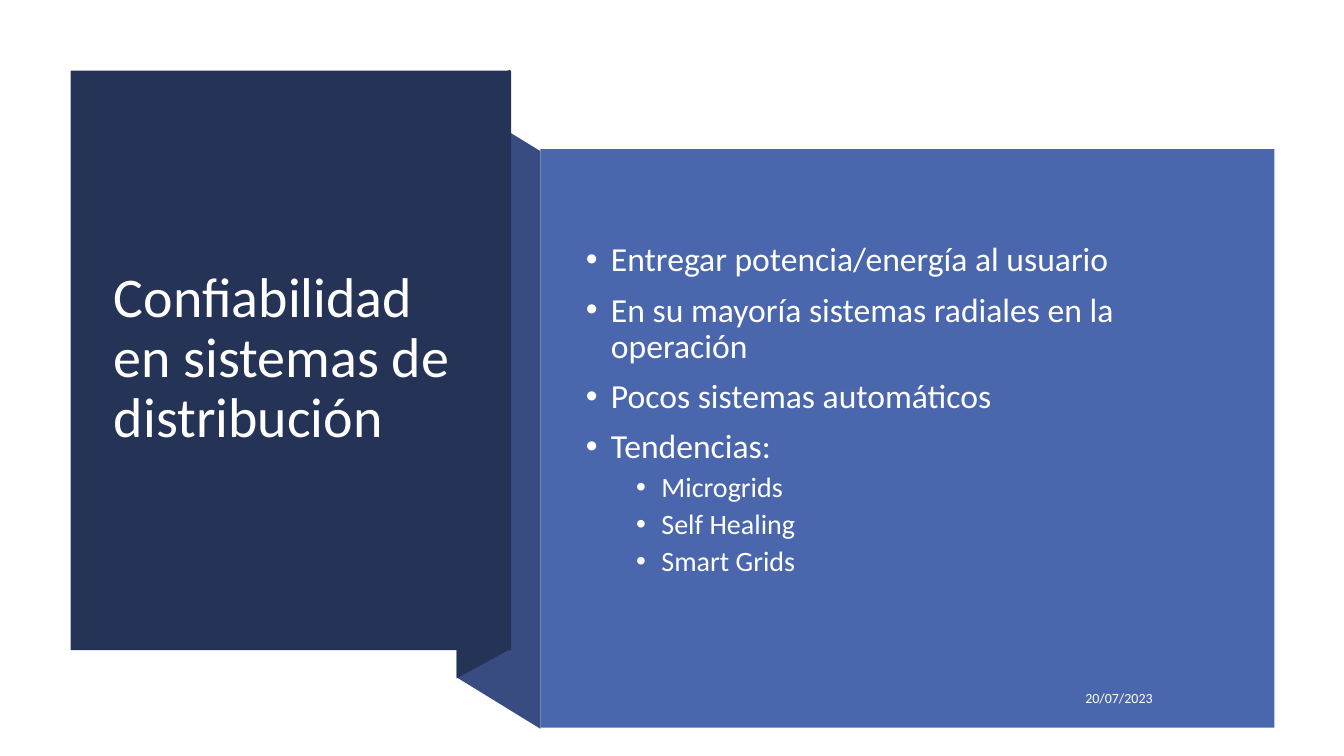
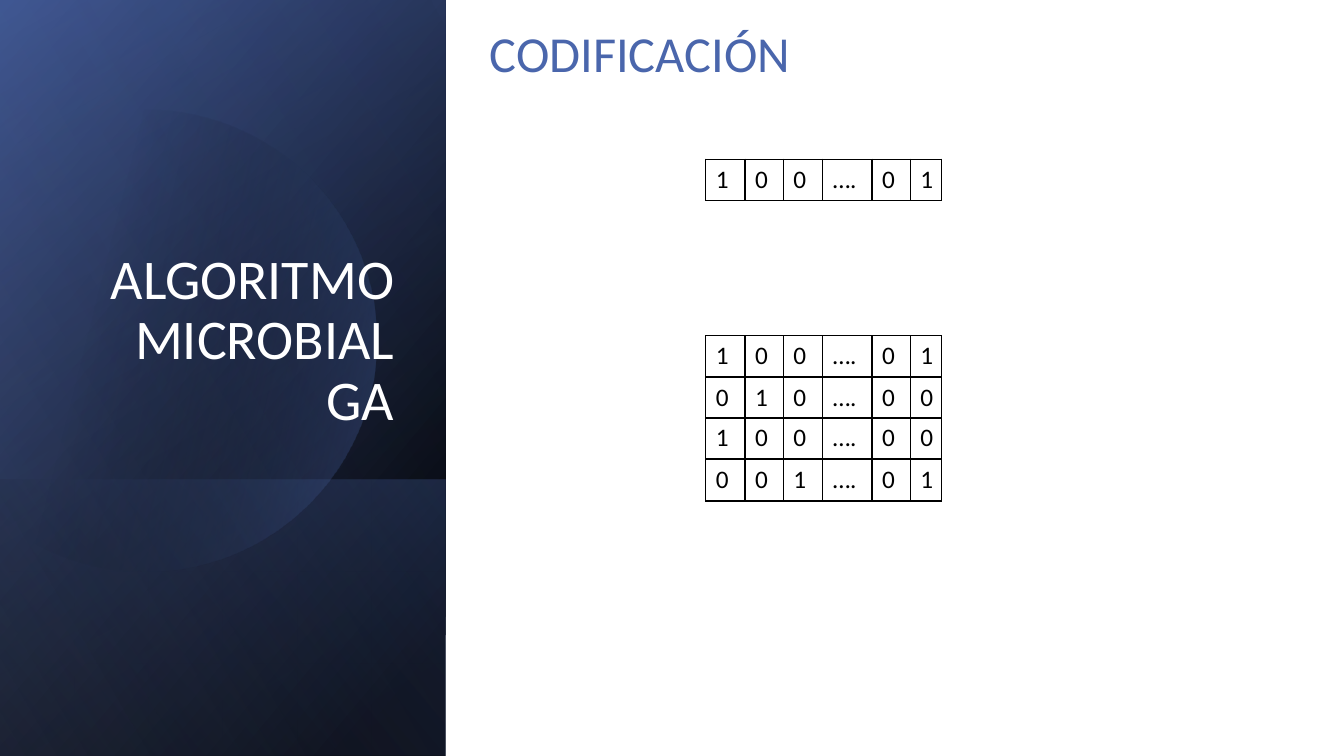
from math import acos, cos, degrees, pi, radians, sin, tan

from lxml.etree import SubElement
from pptx import Presentation
from pptx.dml.color import RGBColor
from pptx.enum.shapes import MSO_SHAPE
from pptx.enum.text import MSO_ANCHOR, MSO_AUTO_SIZE, PP_ALIGN
from pptx.oxml.ns import qn
from pptx.util import Inches, Pt

# Shared style
WIDTH, HEIGHT = 13.33, 7.5
FONT = "Calibri"
COLORS = {
    "white": "FFFFFF",
    "black": "000000",
    "blue": "4A66AC",
    "fold": "384C81",
    "navy": "253356",
    "mist": "90A2CF",
}
TITLE = {"size": 40, "color": "white", "line_spacing": 0.9}
LEVELS = [
    {"size": 24, "before": 10, "indent": 0.25},
    {"size": 20, "before": 5, "indent": 0.75},
]

# Content of slide 1
RELIABILITY_TITLE = "Confiabilidad en sistemas de distribución"
RELIABILITY_POINTS = [
    (0, "Entregar potencia/energía al usuario"),
    (0, "En su mayoría sistemas radiales en la operación"),
    (0, "Pocos sistemas automáticos"),
    (0, "Tendencias:"),
    (1, "Microgrids"),
    (1, "Self Healing"),
    (1, "Smart Grids"),
]
DATE = "20/07/2023"
TITLE_PANEL = (0.7, 0.7, 4.37, 5.75)
BODY_PANEL = (5.36, 1.48, 7.28, 5.74)
FOLDS = [
    ("fold", [(5.36, 7.23), (4.53, 6.72), (4.53, 0.99), (5.36, 1.5)]),
    ("navy", [(5.06, 6.44), (4.53, 6.73), (4.53, 0.98), (5.06, 0.69)]),
]

# Content of slide 2: each individual is a one-row table
ALGORITHM_TITLE = "ALGORITMO MICROBIAL GA"
CODING_HEADING = "CODIFICACIÓN"
INDIVIDUALS = [
    (1.58, "100…01"),
    (3.33, "100…01"),
    (3.74, "010…00"),
    (4.14, "100…00"),
    (4.56, "001…01"),
]
GENE_WIDTHS = [0.39, 0.38, 0.39, 0.49, 0.38, 0.31]
GENE_HEIGHT = 0.41
TABLE_LEFT = 7

# Side band: top edge, clockwise angle, stops of (position, colour, opacity)
BAND_WIDTH = 4.42
BAND_LAYERS = [
    (0, 220, [(8, "black", 100), (100, "fold", 100)]),
    (0, 240, [(0, "black", 0), (99, "blue", 46)]),
    (4.76, 140, [(2, "blue", 29), (100, "black", 30)]),
]
DISC = {"center": (1.44, 3.38), "radius": 2.29, "angle": 14,
        "stops": [(29, "black", 0), (100, "blue", 43)]}
BAND_VEIL = (0, 150, [(0, "black", 0), (99, "mist", 11)])


def rgb(name):
    return RGBColor.from_string(COLORS[name])


def place(shape, left, top, width, height):
    shape.left, shape.top = Inches(left), Inches(top)
    shape.width, shape.height = Inches(width), Inches(height)


def write(frame, text, size, color, align=PP_ALIGN.LEFT, anchor=None,
          line_spacing=None, before=0, after=0, indent=None, append=False):
    """Write one formatted paragraph; an indent makes it a bullet."""
    frame.word_wrap = True
    frame.auto_size = MSO_AUTO_SIZE.NONE
    if anchor is not None:
        frame.vertical_anchor = anchor
    para = frame.add_paragraph() if append else frame.paragraphs[0]
    para.alignment = align
    para.space_before, para.space_after = Pt(before), Pt(after)
    if line_spacing:
        para.line_spacing = line_spacing
    if indent is not None:
        properties = para._p.get_or_add_pPr()
        properties.set("marL", str(Inches(indent)))
        properties.set("indent", str(-Inches(0.25)))
        SubElement(properties, qn("a:buFont")).set("typeface", "Arial")
        SubElement(properties, qn("a:buChar")).set("char", "•")
    span = para.add_run()
    span.text = text
    span.font.name, span.font.size = FONT, Pt(size)
    span.font.color.rgb = rgb(color)
    return para


def text_box(page, area, text, **style):
    box = page.shapes.add_textbox(*map(Inches, area))
    write(box.text_frame, text, **style)


def front_placeholder(page, index, area):
    """Place a placeholder above the shapes drawn so far."""
    holder = page.placeholders[index]
    page.shapes._spTree.append(holder._element)
    place(holder, *area)
    return holder.text_frame


def plain(shape, color=None):
    shape.shadow.inherit = False
    shape.line.fill.background()
    if color:
        shape.fill.solid()
        shape.fill.fore_color.rgb = rgb(color)
    return shape


def panel(page, area, color=None):
    shape = page.shapes.add_shape(MSO_SHAPE.RECTANGLE, *map(Inches, area))
    return plain(shape, color)


def outline(page, points, color=None):
    """Draw a closed outline; its grid has 1000 units to the inch."""
    grid = [(round(x * 1000), round(y * 1000)) for x, y in points]
    builder = page.shapes.build_freeform(*grid[0], scale=Inches(1) / 1000)
    builder.add_line_segments(grid[1:], close=True)
    return plain(builder.convert_to_shape(), color)


def shade(shape, angle, stops):
    """Fill with a two-stop gradient; the angle runs clockwise."""
    shape.fill.gradient()
    shape.fill.gradient_angle = 360 - angle
    for stop, (position, color, _) in zip(shape.fill.gradient_stops, stops):
        stop.position = position / 100
        stop.color.rgb = rgb(color)
    gradient = shape._element.spPr.find(qn("a:gradFill"))
    for node, (_, _, opacity) in zip(gradient.iter(qn("a:srgbClr")), stops):
        if opacity < 100:
            SubElement(node, qn("a:alpha")).set("val", str(opacity * 1000))


def band_layer(page, top, angle, stops):
    shade(panel(page, (0, top, BAND_WIDTH, HEIGHT - top)), angle, stops)


def disc(page):
    """Draw the disc in Bezier arcs, cut off by the left slide edge."""
    (x, y), radius = DISC["center"], DISC["radius"]
    limit = degrees(acos(-x / radius))
    turns = [radians(turn) for turn in (-limit, -90, 0, 90, limit)]

    def on_rim(turn, reach=0):
        return (x + radius * (cos(turn) - reach * sin(turn)),
                y + radius * (sin(turn) + reach * cos(turn)))

    points = [on_rim(turns[0])]
    for start, end in zip(turns, turns[1:]):
        reach = 4 / 3 * tan((end - start) / 4)
        points += [on_rim(start, reach), on_rim(end, -reach), on_rim(end)]
    shape = outline(page, points)

    # Join every three straight segments into one curve
    segments = list(shape._element.iter(qn("a:lnTo")))
    for first in range(0, len(segments), 3):
        group = segments[first:first + 3]
        route = group[0].getparent()
        curve = SubElement(route, qn("a:cubicBezTo"))
        route.replace(group[0], curve)
        for segment in group:
            curve.append(segment[0])
        for segment in group[1:]:
            route.remove(segment)
    shade(shape, DISC["angle"], DISC["stops"])


def border(cell):
    properties = cell._tc.get_or_add_tcPr()
    for position, side in enumerate(("a:lnL", "a:lnR", "a:lnT", "a:lnB")):
        line = SubElement(properties, qn(side))
        line.set("w", str(Pt(1)))
        fill = SubElement(line, qn("a:solidFill"))
        SubElement(fill, qn("a:srgbClr")).set("val", COLORS["black"])
        properties.insert(position, line)


def gene_table(page, top, genes):
    area = (TABLE_LEFT, top, sum(GENE_WIDTHS), GENE_HEIGHT)
    table = page.shapes.add_table(1, len(genes), *map(Inches, area)).table
    table.first_row = table.horz_banding = False
    for column, width in zip(table.columns, GENE_WIDTHS):
        column.width = Inches(width)
    for cell, gene in zip(table.iter_cells(), genes):
        cell.fill.background()
        border(cell)
        text = "…." if gene == "…" else gene
        write(cell.text_frame, text, size=18, color="black")


def reliability_slide(deck):
    page = deck.slides.add_slide(deck.slide_layouts[1])
    for color, points in FOLDS:
        outline(page, points, color)
    panel(page, TITLE_PANEL, "navy")
    write(front_placeholder(page, 0, (1.03, 1.07, 3.71, 4.99)),
          RELIABILITY_TITLE, anchor=MSO_ANCHOR.MIDDLE, **TITLE)
    panel(page, BODY_PANEL, "blue")
    body = front_placeholder(page, 1, (5.71, 1.7, 6.51, 4.74))
    for number, (level, text) in enumerate(RELIABILITY_POINTS):
        para = write(body, text, color="white", anchor=MSO_ANCHOR.MIDDLE,
                     line_spacing=0.9, append=number > 0, **LEVELS[level])
        para.level = level
    text_box(page, (8.44, 6.75, 3.09, 0.35), DATE, size=10, color="white",
             align=PP_ALIGN.RIGHT, anchor=MSO_ANCHOR.MIDDLE, after=6)


def algorithm_slide(deck):
    page = deck.slides.add_slide(deck.slide_layouts[5])
    for layer in BAND_LAYERS:
        band_layer(page, *layer)
    disc(page)
    band_layer(page, *BAND_VEIL)
    write(front_placeholder(page, 0, (0.51, 0.64, 3.5, 3.7)),
          ALGORITHM_TITLE, align=PP_ALIGN.RIGHT, anchor=MSO_ANCHOR.BOTTOM,
          **TITLE)
    text_box(page, (4.76, 0.17, 7.8, 0.71), CODING_HEADING, size=36,
             color="blue")
    for top, genes in INDIVIDUALS:
        gene_table(page, top, genes)


def main():
    deck = Presentation()
    deck.slide_width, deck.slide_height = Inches(WIDTH), Inches(HEIGHT)
    reliability_slide(deck)
    algorithm_slide(deck)
    deck.save("out.pptx")


if __name__ == "__main__":
    main()
